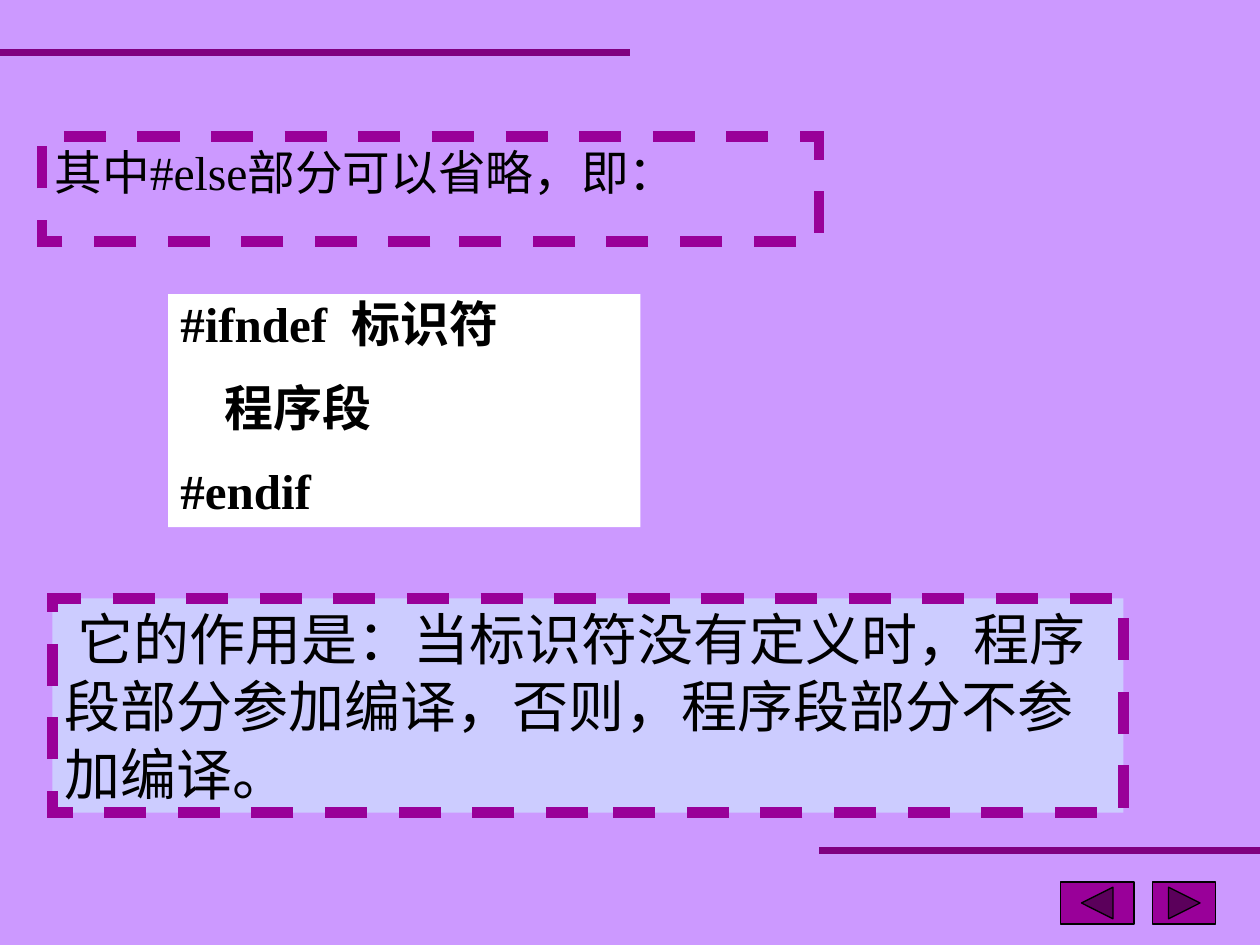
from lxml import etree
from pptx import Presentation
from pptx.dml.color import RGBColor
from pptx.enum.dml import MSO_LINE
from pptx.enum.shapes import MSO_CONNECTOR, MSO_SHAPE
from pptx.enum.text import MSO_ANCHOR, PP_ALIGN
from pptx.oxml.ns import qn
from pptx.util import Inches, Pt

RECT = MSO_SHAPE.RECTANGLE
BACK = MSO_SHAPE.ACTION_BUTTON_BACK_OR_PREVIOUS
NEXT = MSO_SHAPE.ACTION_BUTTON_FORWARD_OR_NEXT
STRAIGHT = MSO_CONNECTOR.STRAIGHT
DASH = MSO_LINE.DASH
TOP = MSO_ANCHOR.TOP
LEFT, JUSTIFY = PP_ALIGN.LEFT, PP_ALIGN.JUSTIFY

LATIN, CJK = "Times New Roman", "Noto Sans CJK SC"
BACKGROUND, PURPLE, RULE = "CC99FF", "990099", "800080"
BLACK, WHITE, LAVENDER = "000000", "FFFFFF", "CCCCFF"


def rgb(value):
    return RGBColor.from_string(value)


def grid(*cells):
    """Lengths on a grid of 120 columns by 90 rows (12 cells to the inch)."""
    return [Inches(c / 12) for c in cells]


class Deck:
    def __init__(self):
        self.prs = Presentation()
        self.prs.slide_width, self.prs.slide_height = grid(120, 90)
        self.slide = self.prs.slides.add_slide(self.prs.slide_layouts[6])
        fill = self.slide.background.fill
        fill.solid()
        fill.fore_color.rgb = rgb(BACKGROUND)

    def rule(self, x1, x2, y):
        line = self.slide.shapes.add_connector(STRAIGHT, *grid(x1, y, x2, y))
        line.line.color.rgb = rgb(RULE)
        line.line.width = Pt(4.5)
        etree.SubElement(line._element.spPr, qn("a:effectLst"))

    def shape(self, kind, box, fill=None):
        s = self.slide.shapes.add_shape(kind, *grid(*box))
        s.shadow.inherit = False
        if fill:
            s.fill.solid()
            s.fill.fore_color.rgb = rgb(fill)
        else:
            s.fill.background()
        return s

    def button(self, kind, box):
        s = self.shape(kind, box, PURPLE)
        s.line.color.rgb = rgb(BLACK)
        s.line.width = Pt(0.75)

    def panel(self, box, lines, size, fill=None, dashed=True, font=LATIN,
              bold=False, align=LEFT, spacing=1.0, before=0, indent=0):
        s = self.shape(RECT, box, fill)
        if dashed:
            s.line.color.rgb = rgb(PURPLE)
            s.line.width = Pt(6)
            s.line.dash_style = DASH
            etree.SubElement(s.line._get_or_add_ln(), qn("a:miter"), lim="800000")
        else:
            s.line.fill.background()
        tf = s.text_frame
        tf.word_wrap = True
        tf.vertical_anchor = TOP
        tf.text = "\n".join(lines)
        for i, p in enumerate(tf.paragraphs):
            p.alignment = align
            p.line_spacing = spacing
            p.space_before = Pt(before if i else 0)
            if indent:
                p._p.get_or_add_pPr().set("indent", str(Inches(indent)))
            for r in p.runs:
                r.font.name = font
                r.font.size = Pt(size)
                r.font.bold = bold
                r.font.color.rgb = rgb(BLACK)
                etree.SubElement(r._r.get_or_add_rPr(), qn("a:ea"), typeface=CJK)


def main():
    deck = Deck()

    # Introductory remark
    deck.panel((4, 13, 74, 10), ["其中#else部分可以省略，即："], 27.2, align=JUSTIFY)

    # Rules and navigation buttons
    deck.rule(78, 120, 81)
    deck.button(NEXT, (109.8, 84, 6, 4))
    deck.button(BACK, (101, 84, 7, 4))
    deck.rule(0, 60, 5)

    # Code form
    deck.panel((16, 28, 45, 22.2), ["#ifndef  标识符", "    程序段", "#endif"], 28,
               fill=WHITE, dashed=False, bold=True, spacing=0.9, before=17.5)

    # Explanation
    deck.panel((5, 57, 102, 20.4),
               ["它的作用是：当标识符没有定义时，程序段部分参加编译，否则，程序段部分不参加编译。"],
               32, fill=LAVENDER, font=CJK, indent=0.1)

    deck.prs.save("out.pptx")


if __name__ == "__main__":
    main()
